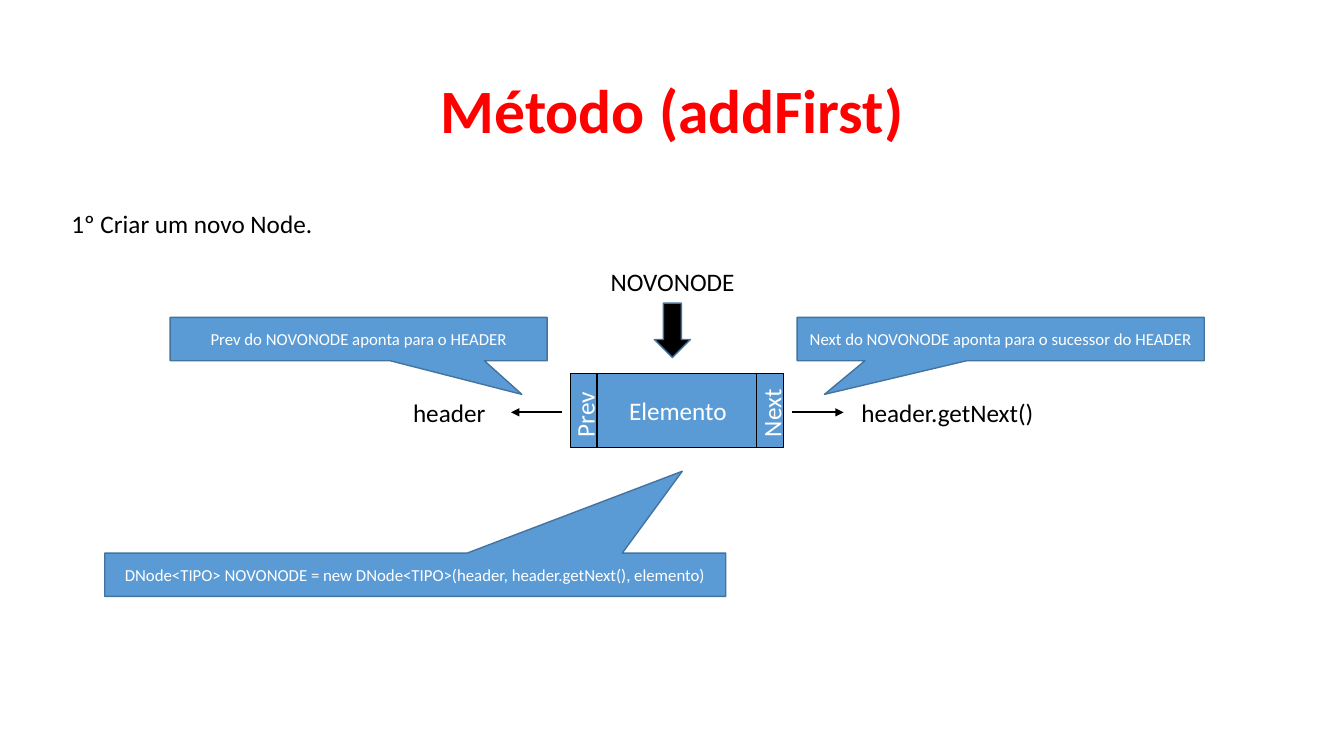
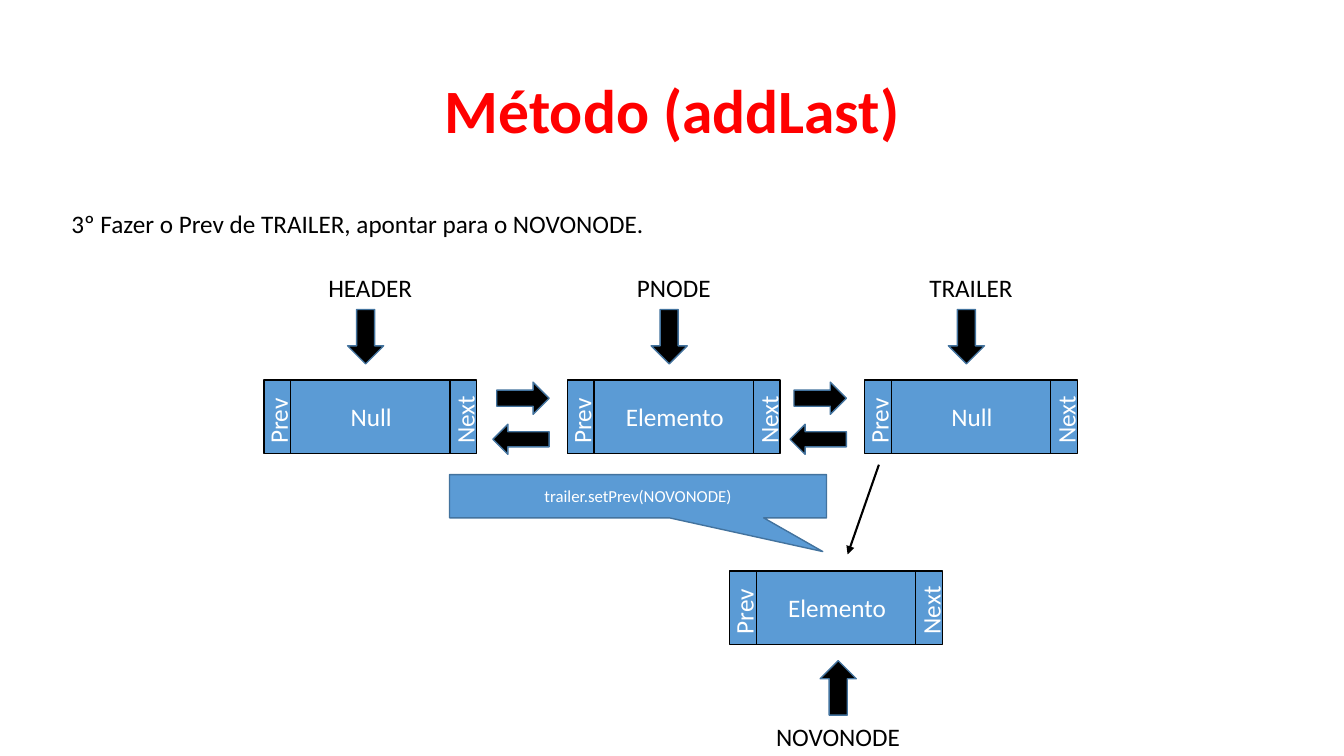
import pptx
import pptx.util
import pptx.dml.color
import pptx.enum.shapes
import pptx.enum.text
import pptx.oxml.ns
import lxml.etree

Cm = pptx.util.Cm
Pt = pptx.util.Pt
SHAPE = pptx.enum.shapes.MSO_SHAPE
ALIGN = pptx.enum.text.PP_ALIGN
ANCHOR = pptx.enum.text.MSO_ANCHOR

FONT = "Calibri"
RED, BLACK, WHITE = "FF0000", "000000", "FFFFFF"
BLUE, DARK_BLUE = "5B9BD5", "43739E"
NODE_WIDTH, NODE_HEIGHT = 5.36, 1.85
LABEL_WIDTH, LABEL_HEIGHT = 3.89, 1.02
CALLOUT_HEIGHT = 1.09


def color(value):
    return pptx.dml.color.RGBColor.from_string(value)


def write(frame, text, size, ink, align, bold=False):
    frame.text = text
    frame.word_wrap = True
    paragraph = frame.paragraphs[0]
    paragraph.alignment = align
    font = paragraph.runs[0].font
    font.name, font.size, font.bold = FONT, Pt(size), bold
    font.color.rgb = color(ink)
    return paragraph


def add_label(slide, text, left, top, width, align=ALIGN.LEFT, ink=BLACK):
    label = slide.shapes.add_textbox(Cm(left), Cm(top), Cm(width), Cm(LABEL_HEIGHT))
    write(label.text_frame, text, 18, ink, align)
    return label


def add_block(slide, kind, left, top, width, height, fill, outline):
    block = slide.shapes.add_shape(kind, Cm(left), Cm(top), Cm(width), Cm(height))
    block.shadow.inherit = False
    block.fill.solid()
    block.fill.fore_color.rgb = color(fill)
    block.line.color.rgb = color(outline)
    block.line.width = Pt(1)
    return block


def add_node(slide, content, left, top):
    add_block(slide, SHAPE.FLOWCHART_PREDEFINED_PROCESS, left, top,
              NODE_WIDTH, NODE_HEIGHT, BLUE, BLACK)
    for side, offset in (("Prev", -0.52), ("Next", 4.19)):
        field = add_label(slide, side, left + offset, top + 0.46, 1.75, ink=WHITE)
        field.text_frame.margin_right = 0
        field.rotation = 270
    add_label(slide, content, left + 0.75, top + 0.42, 3.91, ALIGN.CENTER, WHITE)


def add_pointer(slide, name, left, top, name_center=2.68, below=False):
    if below:
        kind, arrow_center, arrow_top, name_top = SHAPE.UP_ARROW, 2.74, 2.26, 3.66
    else:
        kind, arrow_center, arrow_top, name_top = SHAPE.DOWN_ARROW, 2.57, -1.78, -2.83
    add_label(slide, name, left + name_center - LABEL_WIDTH / 2, top + name_top,
              LABEL_WIDTH, ALIGN.CENTER)
    add_block(slide, kind, left + arrow_center - 0.46, top + arrow_top,
              0.91, 1.37, BLACK, DARK_BLUE)


def add_two_way_arrows(slide, left, top):
    add_block(slide, SHAPE.RIGHT_ARROW, left + 0.1, top + 0.05, 1.32, 0.81, BLACK, DARK_BLUE)
    add_block(slide, SHAPE.LEFT_ARROW, left, top + 1.11, 1.42, 0.76, BLACK, DARK_BLUE)


def add_callout(slide, text, left, top, width, tip):
    callout = add_block(slide, SHAPE.RECTANGULAR_CALLOUT, left, top, width,
                        CALLOUT_HEIGHT, BLUE, DARK_BLUE)
    callout.adjustments[0], callout.adjustments[1] = tip
    write(callout.text_frame, text, 12, WHITE, ALIGN.CENTER)
    callout.text_frame.vertical_anchor = ANCHOR.MIDDLE


def add_link(slide, start, end):
    link = slide.shapes.add_connector(pptx.enum.shapes.MSO_CONNECTOR.STRAIGHT,
                                      *map(Cm, start + end))
    link.line.color.rgb = color(BLACK)
    link.line.width = Pt(1.5)
    qn = pptx.oxml.ns.qn
    lxml.etree.SubElement(link.line._get_or_add_ln(), qn("a:tailEnd"), type="triangle")
    lxml.etree.SubElement(link._element.spPr, qn("a:effectLst"))


def add_step_slide(deck, heading, step):
    slide = deck.slides.add_slide(deck.slide_layouts[5])
    title = slide.shapes.title
    title.left, title.top, title.width, title.height = map(Cm, (2.34, 1.02, 29.21, 3.68))
    paragraph = write(title.text_frame, heading, 44, RED, ALIGN.CENTER, bold=True)
    paragraph.line_spacing = 0.9
    title.text_frame.vertical_anchor = ANCHOR.MIDDLE
    add_label(slide, step, 1.55, 5.13, 30)
    return slide


def build_add_first(deck):
    slide = add_step_slide(deck, "Método (addFirst)", "1º Criar um novo Node.")
    left, top = 14.38, 9.42
    add_pointer(slide, "NOVONODE", left, top, name_center=2.57)
    add_node(slide, "Elemento", left, top)
    link_y = top + 0.97
    add_link(slide, (left + 5.58, link_y), (left + 6.88, link_y))
    add_link(slide, (left - 0.21, link_y), (left - 1.5, link_y))
    add_label(slide, "header.getNext()", left + 7.08, top + 0.46, 5)
    add_label(slide, "header", left - 4.22, top + 0.46, 2.54)
    add_callout(slide, "Next do NOVONODE aponta para o sucessor do HEADER",
                20.09, 8, 10.26, (-0.433, 1.279))
    add_callout(slide, "Prev do NOVONODE aponta para o HEADER",
                4.29, 8, 9.5, (0.433, 1.279))
    add_callout(slide, "DNode<TIPO> NOVONODE = new DNode<TIPO>(header, header.getNext(), elemento)",
                2.64, 13.94, 15.65, (0.43, -2.394))


def build_add_last(deck):
    slide = add_step_slide(deck, "Método (addLast)",
                           "3º Fazer o Prev de TRAILER, apontar para o NOVONODE.")
    list_top = 9.58
    members = (("HEADER", "Null", 6.65), ("PNODE", "Elemento", 14.3),
               ("TRAILER", "Null", 21.79))
    for position, (name, content, left) in enumerate(members):
        add_pointer(slide, name, left, list_top)
        add_node(slide, content, left, list_top)
        if position:
            add_two_way_arrows(slide, left - 1.88, list_top)
    new_left, new_top = 18.39, 14.38
    new_top += 0.01
    add_node(slide, "Elemento", new_left, new_top)
    add_pointer(slide, "NOVONODE", new_left, new_top, name_center=2.73, below=True)
    add_link(slide, (22.15, 11.71), (21.36, 13.97))
    add_callout(slide, "trailer.setPrev(NOVONODE)", 11.33, 11.96, 9.5, (0.49, 1.279))


def main():
    deck = pptx.Presentation()
    deck.slide_width, deck.slide_height = Cm(33.87), Cm(19.05)
    build_add_first(deck)
    build_add_last(deck)
    deck.save("out.pptx")


if __name__ == "__main__":
    main()
